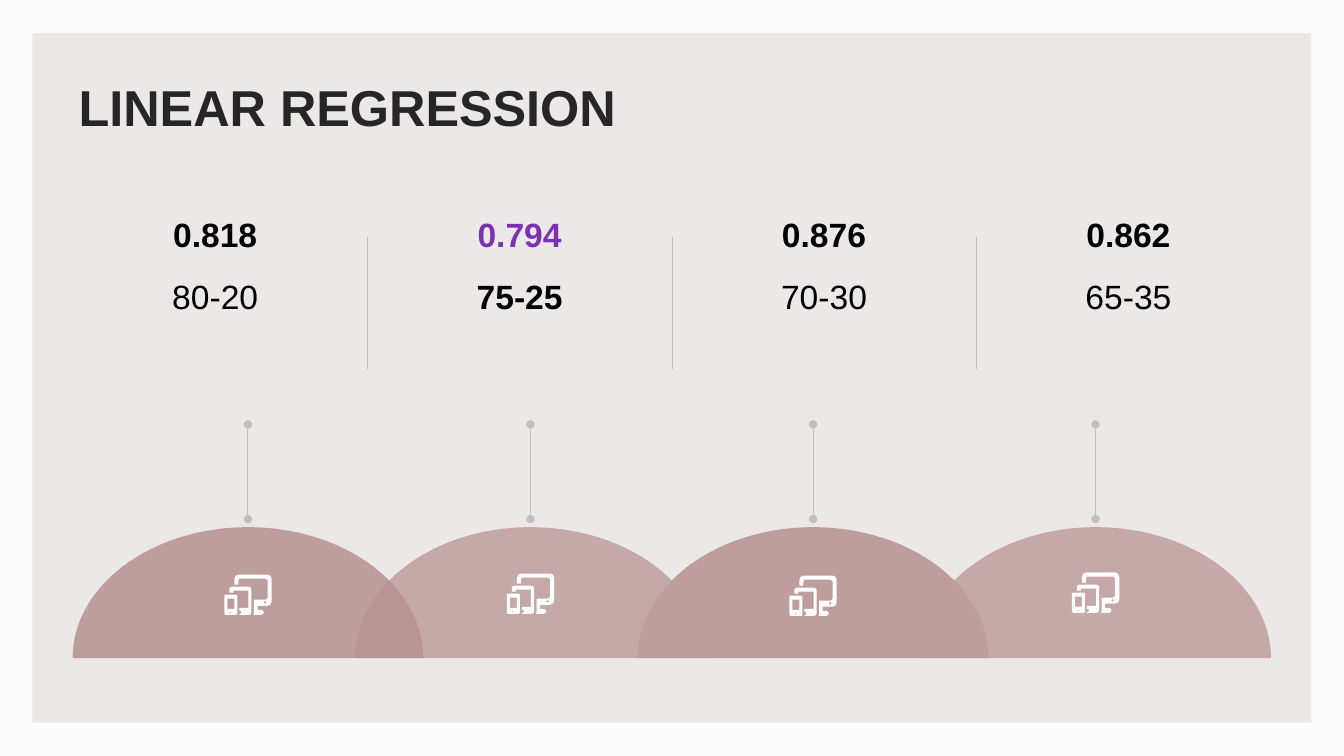
"""Build the slide that compares linear regression scores by data split."""
from dataclasses import dataclass
from math import cos, pi, sin

from lxml.etree import SubElement
from pptx import Presentation
from pptx.dml.color import RGBColor
from pptx.enum.shapes import MSO_CONNECTOR as Connector, MSO_SHAPE as Preset
from pptx.enum.text import MSO_ANCHOR as Anchor, MSO_AUTO_SIZE as AutoSize, PP_ALIGN as Align
from pptx.oxml.ns import qn
from pptx.util import Inches, Pt

CELL = Inches(0.1)
COLUMNS, ROWS = 133.33, 75
SPLIT_LEFT, SPLIT_WIDTH, SPLIT_STEP = 7.2, 28.3, 30.2
DOME_CENTER, DOME_STEP, DOME_RADIUS = 24.6, 28.03, 17.4
DOME_TOP, DOME_BASE = 52.3, 65.3
GREY, BLACK, WHITE = "BFBFBF", "000000", "FFFFFF"
ROSES = ("B69191", "BF9F9F")
DOME_ORDER = (2, 1, 0, 3)
ARC_STEPS = 60

DEVICE_OUTLINES = (
    ((1, 20), (12, 20), (13, 21), (13, 39), (12, 40), (1, 40), (0, 39), (0, 21)),
    ((3, 24), (3, 34), (10, 34), (10, 24)),
    ((6, 37), (5, 38), (6, 39), (7, 38)),
    ((8, 12), (24, 12), (26, 12.7), (27, 14), (27, 38), (26, 39.5), (24, 40), (15, 40),
     (15, 39), (16, 39), (17, 38), (17, 37), (16, 36), (15, 36), (15, 33), (24, 33),
     (24, 16), (9, 16), (9, 18), (5, 18), (5, 14), (6, 12.5)),
    ((14, 0), (43, 0), (45.8, 1.3), (47, 4.5), (47, 27), (45.8, 29.7), (43, 31), (33, 31),
     (33, 35), (37, 35), (39, 36.5), (39, 38.5), (37, 40), (29, 40), (29.5, 38), (29.5, 25),
     (41, 25), (43, 23), (43, 6), (41, 4), (15, 4), (14, 6), (14, 10), (10, 10),
     (10, 4.5), (11.2, 1.3)),
    ((40.5, 26), (39, 27.5), (40.5, 29), (42, 27.5)),
)


@dataclass
class Split:
    """One train-test split with its score and the row of its icon."""
    score: str
    ratio: str
    icon_top: float
    score_color: str = BLACK
    ratio_bold: bool = False


SPLITS = (
    Split("0.818", "80-20", 57.0),
    Split("0.794", "75-25", 56.9, "7B32B2", True),
    Split("0.876", "70-30", 57.1),
    Split("0.862", "65-35", 56.8),
)


def grid(cells: float) -> int:
    """Turn grid cells into a length."""
    return round(cells * CELL)


def color(value: str) -> RGBColor:
    """Turn a hex string into a colour."""
    return RGBColor.from_string(value)


def apply(target, formats: dict) -> None:
    """Set every format value on the target."""
    for name, value in formats.items():
        setattr(target, name, value)


def paint(shape, fill: str, opacity: int = 100) -> None:
    """Give a shape a flat fill without outline or shadow."""
    shape.shadow.inherit = False
    shape.fill.solid()
    shape.fill.fore_color.rgb = color(fill)
    shape.line.fill.background()
    if opacity < 100:
        tint = shape._element.spPr.find(".//" + qn("a:srgbClr"))
        SubElement(tint, qn("a:alpha"), val=str(opacity * 1000))


def write(holder, text: str, hue: str, frame: dict, paragraph: dict, font: dict) -> None:
    """Fill a text holder with one formatted paragraph."""
    holder.text_frame.text = text
    line = holder.text_frame.paragraphs[0]
    apply(holder.text_frame, {"word_wrap": True, "auto_size": AutoSize.NONE, **frame})
    apply(line, paragraph)
    apply(line.runs[0].font, {"name": "Arial", "size": Pt(24), **font})
    line.runs[0].font.color.rgb = color(hue)


def add_rule(slide, column: float, start: float, end: float, dotted: bool = False) -> None:
    """Draw a vertical grey line, with round ends if dotted."""
    rule = slide.shapes.add_connector(
        Connector.STRAIGHT, grid(column), grid(start), grid(column), grid(end))
    rule.line.width = Pt(0.75)
    rule.line.color.rgb = color(GREY)
    properties = rule._element.spPr
    if dotted:
        for tip in ("a:headEnd", "a:tailEnd"):
            SubElement(properties.find(qn("a:ln")), qn(tip), type="oval")
    SubElement(properties, qn("a:effectLst"))


def add_title(slide) -> None:
    """Place the title on the panel."""
    title = slide.shapes.title
    apply(title, {"left": grid(6.7), "top": grid(6.7), "width": grid(120), "height": grid(7.7)})
    frame = {"vertical_anchor": Anchor.MIDDLE, "margin_left": grid(1.1), "margin_right": grid(0.8),
             "margin_top": grid(0.4), "margin_bottom": grid(0.4)}
    write(title, "LINEAR REGRESSION", "262626", frame, {"alignment": Align.LEFT},
          {"size": Pt(36), "bold": True})


def add_split(slide, split: Split, index: int) -> None:
    """Write a score above its split ratio."""
    left = grid(SPLIT_LEFT + index * SPLIT_STEP)
    score = slide.shapes.add_textbox(left, grid(19.9), grid(SPLIT_WIDTH), grid(5.8))
    write(score, split.score, split.score_color, {"vertical_anchor": Anchor.BOTTOM},
          {"alignment": Align.CENTER}, {"bold": True})
    ratio = slide.shapes.add_textbox(left, grid(25.7), grid(SPLIT_WIDTH), grid(12.9))
    write(ratio, split.ratio, BLACK, {"vertical_anchor": Anchor.TOP},
          {"alignment": Align.CENTER, "line_spacing": 1.3}, {"bold": split.ratio_bold})


def add_dome(slide, center: float, fill: str) -> None:
    """Draw a translucent half ellipse."""
    angles = [pi * step / ARC_STEPS for step in range(ARC_STEPS + 1)]
    arc = [(grid(center - DOME_RADIUS * cos(angle)),
            grid(DOME_BASE - (DOME_BASE - DOME_TOP) * sin(angle))) for angle in angles]
    outline = slide.shapes.build_freeform(*arc[0])
    outline.add_line_segments(arc[1:], close=True)
    paint(outline.convert_to_shape(), fill, 85)


def add_devices(slide, center: float, top: float) -> None:
    """Draw the icon of a phone, a tablet and a monitor."""
    scale = 10
    first = DEVICE_OUTLINES[0][0]
    icon = slide.shapes.build_freeform(first[0] * scale, first[1] * scale, CELL / 10 / scale)
    for outline in DEVICE_OUTLINES:
        points = [(x * scale, y * scale) for x, y in outline]
        icon.move_to(*points[0])
        icon.add_line_segments(points[1:], close=True)
    paint(icon.convert_to_shape(grid(center - 2.35), grid(top)), WHITE)


def main() -> None:
    """Build and save the slide."""
    deck = Presentation()
    apply(deck, {"slide_width": grid(COLUMNS), "slide_height": grid(ROWS)})
    slide = deck.slides.add_slide(deck.slide_layouts[5])
    slide.background.fill.solid()
    slide.background.fill.fore_color.rgb = color("FDFCFC")

    panel = slide.shapes.add_shape(
        Preset.RECTANGLE, grid(3.2), grid(3.3), grid(126.9), grid(68.4))
    paint(panel, "ECE8E8")
    slide.shapes.title._element.addprevious(panel._element)
    add_title(slide)

    for index, split in enumerate(SPLITS):
        add_split(slide, split, index)
    for index in range(len(SPLITS) - 1):
        add_rule(slide, 36.5 + index * SPLIT_STEP, 23.5, 36.6)

    centers = [DOME_CENTER + index * DOME_STEP for index in range(len(SPLITS))]
    for index in DOME_ORDER:
        add_dome(slide, centers[index], ROSES[index % 2])
    for center, split in zip(centers, SPLITS):
        add_rule(slide, center, 51.5, 42.1, dotted=True)
        add_devices(slide, center, split.icon_top)
    deck.save("out.pptx")


if __name__ == "__main__":
    main()
